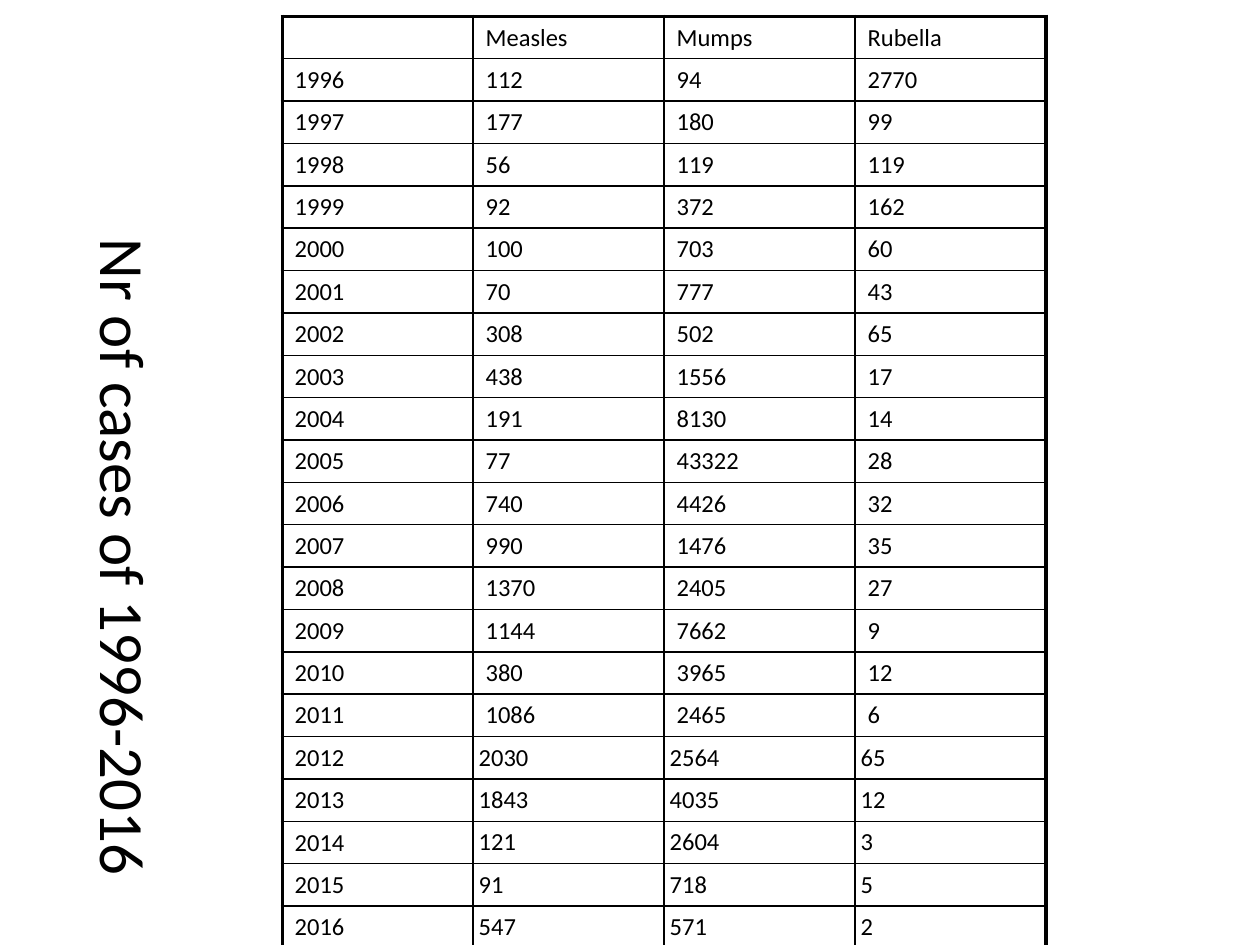
from dataclasses import dataclass

from lxml import etree
from pptx import Presentation
from pptx import util as u
from pptx.dml.color import RGBColor
from pptx.enum import text
from pptx.oxml.ns import qn


@dataclass(frozen=True)
class Theme:
    font: str = "Calibri"
    ink: str = "000000"
    title_size: float = 36
    cell_size: float = 14
    outer_line: float = 2.25
    inner_line: float = 1


THEME = Theme()
FIRST_YEAR = 1996
FIRST_COMPACT_YEAR = 2012
DISEASES = ("Measles", "Mumps", "Rubella")
CASES = (
    (112, 94, 2770),
    (177, 180, 99),
    (56, 119, 119),
    (92, 372, 162),
    (100, 703, 60),
    (70, 777, 43),
    (308, 502, 65),
    (438, 1556, 17),
    (191, 8130, 14),
    (77, 43322, 28),
    (740, 4426, 32),
    (990, 1476, 35),
    (1370, 2405, 27),
    (1144, 7662, 9),
    (380, 3965, 12),
    (1086, 2465, 6),
    (2030, 2564, 65),
    (1843, 4035, 12),
    (121, 2604, 3),
    (91, 718, 5),
    (547, 571, 2),
)
ROOMY = {
    "margin_left": u.Cm(0.25),
    "margin_right": u.Cm(0.25),
    "margin_top": u.Cm(0.13),
    "margin_bottom": u.Cm(0.13),
    "vertical_anchor": text.MSO_ANCHOR.TOP,
}
COMPACT = {
    "margin_left": u.Cm(0.11),
    "margin_right": 0,
    "margin_top": 0,
    "margin_bottom": 0,
    "vertical_anchor": text.MSO_ANCHOR.MIDDLE,
}


def apply(target, formats):
    for name, value in formats.items():
        setattr(target, name, value)


def write(paragraph, wording, size):
    run = paragraph.add_run()
    run.text = wording
    apply(run.font, {"name": THEME.font, "size": u.Pt(size)})
    run.font.color.rgb = RGBColor.from_string(THEME.ink)


def add_sideways_title(slide, wording):
    title = slide.shapes.add_textbox(u.Cm(-8.81), u.Cm(9.63), u.Cm(21.41), u.Cm(3.2))
    title.rotation = 90
    apply(title.text_frame, {
        "word_wrap": True,
        "vertical_anchor": text.MSO_ANCHOR.MIDDLE,
        "margin_top": u.Cm(0.13),
        "margin_bottom": u.Cm(1.4),
    })
    heading = title.text_frame.paragraphs[0]
    heading.alignment = text.PP_ALIGN.CENTER
    write(heading, wording, THEME.title_size)


def draw_border(cell, side, width):
    properties = cell._tc.get_or_add_tcPr()
    border = etree.SubElement(properties, qn(f"a:ln{side}"), w=str(u.Pt(width)))
    fill = etree.SubElement(border, qn("a:solidFill"))
    etree.SubElement(fill, qn("a:srgbClr"), val=THEME.ink)


def fill_cell(cell, wording, formats, outer_sides):
    apply(cell, formats)
    for side, is_outer in outer_sides.items():
        draw_border(cell, side, THEME.outer_line if is_outer else THEME.inner_line)
    cell.fill.background()
    paragraph = cell.text_frame.paragraphs[0]
    if wording:
        write(paragraph, wording, THEME.cell_size)
    else:
        paragraph._p.get_or_add_endParaRPr().set("sz", str(THEME.cell_size * 100))


def add_case_table(slide):
    years = [(FIRST_YEAR + i, *counts) for i, counts in enumerate(CASES)]
    rows = [("", *DISEASES), *years]
    last_row, last_column = len(rows) - 1, len(DISEASES)
    table = slide.shapes.add_table(
        len(rows), len(rows[0]), u.Cm(5.69), u.Cm(0.33),
        u.Cm(3.85) * len(rows[0]), u.Cm(0.85) * len(rows),
    ).table
    apply(table, {"first_row": False, "horz_banding": False})
    for r, values in enumerate(rows):
        for c, value in enumerate(values):
            is_compact = c > 0 and r > FIRST_COMPACT_YEAR - FIRST_YEAR
            outer_sides = {"L": c == 0, "R": c == last_column, "T": r == 0, "B": r == last_row}
            fill_cell(table.cell(r, c), str(value), COMPACT if is_compact else ROOMY, outer_sides)


def main():
    deck = Presentation()
    apply(deck, {"slide_width": u.Cm(25.4), "slide_height": u.Cm(19.05)})
    slide = deck.slides.add_slide(deck.slide_layouts[6])
    add_sideways_title(slide, "Nr of cases of 1996-2016")
    add_case_table(slide)
    deck.save("out.pptx")


if __name__ == "__main__":
    main()
